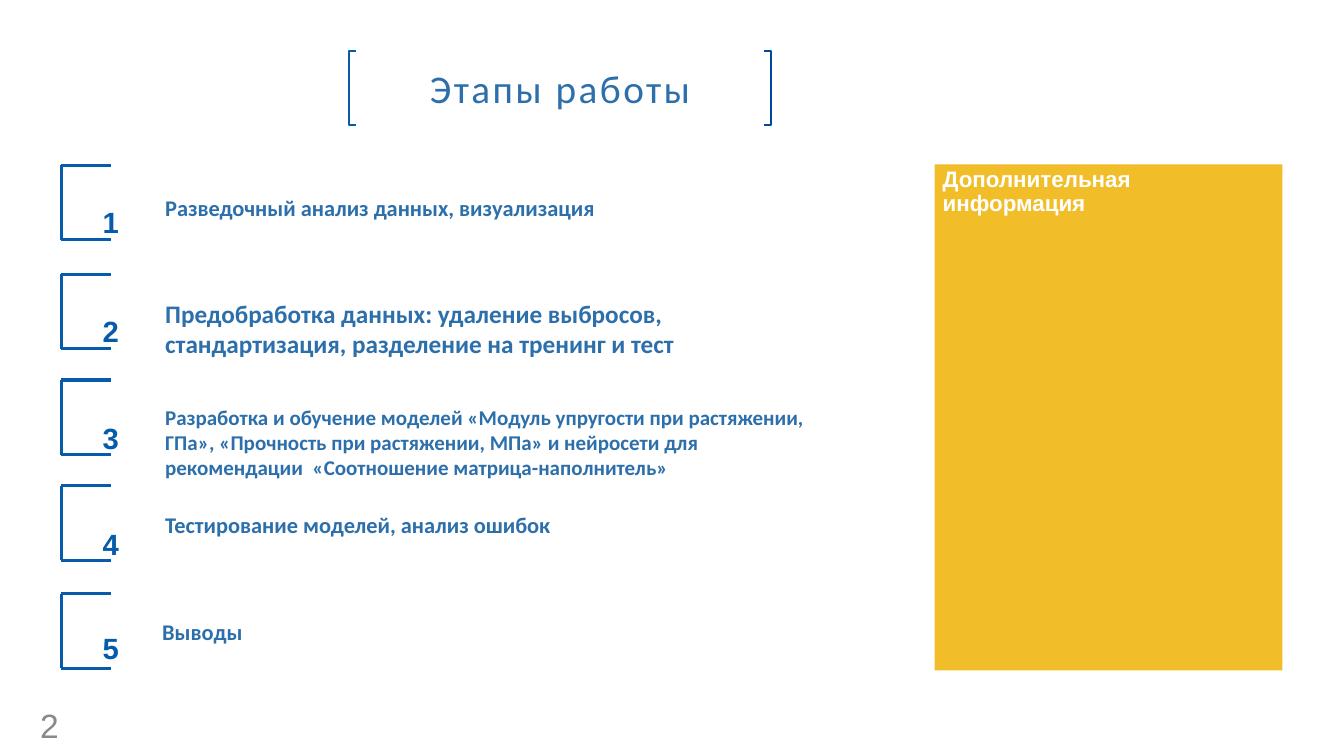
from pptx import Presentation
from pptx.util import Inches, Pt
from pptx.dml.color import RGBColor
from pptx.enum.shapes import MSO_CONNECTOR, MSO_SHAPE
from pptx.enum.text import MSO_ANCHOR, MSO_AUTO_SIZE, PP_ALIGN
from pptx.oxml.ns import qn
from lxml.etree import SubElement

# Content
TITLE = "Этапы работы"
SIDE = "Дополнительная информация"
PAGE = "2"
# Each stage: text, size, left of text, tops of bracket, number and text
STAGES = [
    ("Разведочный анализ данных, визуализация", 16, 1.54, 1.64, 1.92, 1.88),
    ("Предобработка данных: удаление выбросов, стандартизация, "
     "разделение на тренинг и тест", 18, 1.54, 2.72, 3.0, 2.91),
    ("Разработка и обучение моделей «Модуль упругости при растяжении, ГПа», "
     "«Прочность при растяжении, МПа» и нейросети для рекомендации  "
     "«Соотношение матрица-наполнитель»", 15, 1.54, 3.77, 4.06, 3.96),
    ("Тестирование моделей, анализ ошибок", 16, 1.54, 4.82, 5.11, 5.02),
    ("Выводы", 16, 1.51, 5.89, 6.14, 6.08),
]
COLORS = {"white": "FFFFFF", "blue": "065CAB", "navy": "0046A2",
          "text": "2C6FAA", "gold": "F1BE29", "gray": "898989"}

# Layout in inches
WIDE, HIGH = 13.33, 7.5
HEAD = (3.46, 0.51, 4.19, 0.73)
PANEL = (9.27, 1.63, 3.45, 5.02)
FOOT = (0.3, 7.04, 0.62, 0.3)
LEFT, RIGHT, DROP = 0.61, 1.1, 0.74
HOOK = 0.07

deck = Presentation()
deck.slide_width, deck.slide_height = Inches(WIDE), Inches(HIGH)
slide = deck.slides.add_slide(deck.slide_layouts[5])
shapes = slide.shapes


def color(name):
    return RGBColor.from_string(COLORS[name])


def style(frame, text, size, font, hue, bold=False):
    frame.text = text
    frame.word_wrap = True
    frame.auto_size = MSO_AUTO_SIZE.NONE
    run = frame.paragraphs[0].runs[0]
    run.font.size, run.font.name, run.font.bold = Pt(size), font, bold
    run.font.color.rgb = color(hue)
    return run


def label(box, *look):
    frame = shapes.add_textbox(*map(Inches, box)).text_frame
    return frame, style(frame, *look)


def line(x1, y1, x2, y2):
    rule = shapes.add_connector(MSO_CONNECTOR.STRAIGHT,
                                *map(Inches, (x1, y1, x2, y2)))
    rule.line.color.rgb, rule.line.width = color("blue"), Pt(2.25)
    SubElement(rule._element.spPr, qn("a:effectLst"))


def hook(edge, tip, hue):
    top, low = HEAD[1], HEAD[1] + HEAD[3]
    pen = shapes.build_freeform(Inches(tip), Inches(top))
    pen.add_line_segments([(Inches(x), Inches(y)) for x, y in
                           ((edge, top), (edge, low), (tip, low))], close=False)
    mark = pen.convert_to_shape()
    mark.fill.background()
    mark.line.color.rgb, mark.line.width = color(hue), Pt(1.3)
    mark.shadow.inherit = False


# Title with its two brackets
title = shapes.title
title.left, title.top, title.width, title.height = map(Inches, HEAD)
title.fill.solid()
title.fill.fore_color.rgb = color("white")
run = style(title.text_frame, TITLE, 28, "Calibri", "text")
run._r.get_or_add_rPr().set("spc", "180")
title.text_frame.vertical_anchor = MSO_ANCHOR.MIDDLE
title.text_frame.paragraphs[0].alignment = PP_ALIGN.CENTER
end = HEAD[0] + HEAD[2]
hook(HEAD[0], HEAD[0] + HOOK, "blue")
hook(end, end - HOOK, "navy")

# Side panel
panel = shapes.add_shape(MSO_SHAPE.RECTANGLE, *map(Inches, PANEL))
panel.shadow.inherit = False
panel.fill.solid()
panel.fill.fore_color.rgb = color("gold")
panel.line.fill.background()
frame = panel.text_frame
style(frame, SIDE, 16, "Arial", "white", True)
frame.vertical_anchor = MSO_ANCHOR.TOP
frame.margin_left = frame.margin_right = Inches(0.08)
frame.margin_top = frame.margin_bottom = Inches(0.04)
frame.paragraphs[0].alignment = PP_ALIGN.JUSTIFY
frame.paragraphs[0].line_spacing = 0.9

# Stages: bracket, text and raised number
for count, (text, size, x, top, num, body) in enumerate(STAGES, 1):
    line(LEFT, top, LEFT, top + DROP)
    for y in (top, top + DROP):
        line(LEFT, y, RIGHT, y)
    label((x, body, 6.8, 0.37), text, size, "Calibri", "text", True)
    run = label((0.92, num, 1.18, 0.5), str(count), 36, "Arial", "blue", True)[1]
    run._r.get_or_add_rPr().set("baseline", "30000")

# Page number
frame = label(FOOT, PAGE, 24, "Arial", "gray")[0]
frame.vertical_anchor = MSO_ANCHOR.MIDDLE

deck.save("out.pptx")
